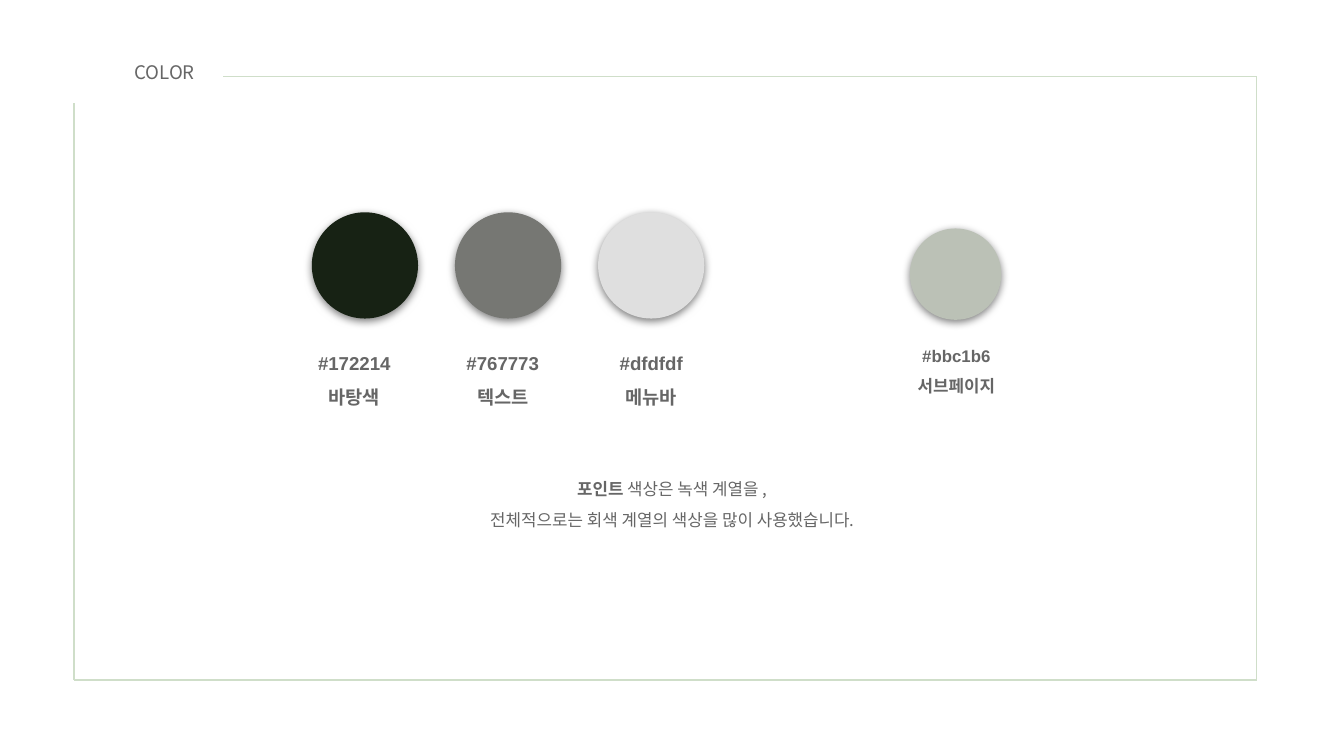
from dataclasses import dataclass

from lxml.etree import SubElement
from pptx import Presentation
from pptx.dml.color import RGBColor
from pptx.enum.shapes import MSO_CONNECTOR, MSO_SHAPE
from pptx.enum.text import MSO_ANCHOR, MSO_AUTO_SIZE, PP_ALIGN
from pptx.oxml.ns import qn
from pptx.util import Inches, Pt

SANS = "Noto Sans CJK KR"
TEXT_COLOR = "666666"
FRAME_COLOR = "CFDEC9"
SLIDE_WIDTH = 10
LABEL_TOP = 2.58
LABEL_WIDTH = 0.89


@dataclass
class Swatch:
    color: str
    code: str
    use: str
    left: float
    top: float
    diameter: float
    label_left: float
    label_height: float
    size: float


def rgb(color: str) -> RGBColor:
    return RGBColor.from_string(color)


def prepare_frame(frame, anchor=MSO_ANCHOR.TOP) -> None:
    """Set wrapping, equal insets and the vertical anchor."""
    frame.word_wrap = True
    frame.auto_size = MSO_AUTO_SIZE.NONE
    frame.vertical_anchor = anchor
    frame.margin_left = frame.margin_right = Inches(0.1)
    frame.margin_top = frame.margin_bottom = Inches(0.1)


def add_run(paragraph, text: str, size: float, font=SANS, bold=False) -> None:
    """Add one run, without pair kerning, with Korean letters in the sans font."""
    run = paragraph.add_run()
    run.text = text
    run.font.name = font
    run.font.size = Pt(size)
    run.font.bold = bold
    run.font.color.rgb = rgb(TEXT_COLOR)
    run.font._element.set("kern", "0")
    SubElement(run.font._element, qn("a:ea"), typeface=SANS)


def add_centered_box(slide, left: float, top: float, width: float, height: float,
                     lines, size: float, font=SANS, anchor=MSO_ANCHOR.TOP) -> None:
    """Each line is a list of (text, bold) pairs."""
    frame = slide.shapes.add_textbox(
        Inches(left), Inches(top), Inches(width), Inches(height)).text_frame
    prepare_frame(frame, anchor)
    for index, line in enumerate(lines):
        paragraph = frame.add_paragraph() if index else frame.paragraphs[0]
        paragraph.alignment = PP_ALIGN.CENTER
        paragraph.line_spacing = 1.5
        for text, bold in line:
            add_run(paragraph, text, size, font, bold)


def add_soft_shadow(shape) -> None:
    shape.shadow.inherit = False
    effects = shape._element.spPr.find(qn("a:effectLst"))
    shadow = SubElement(effects, qn("a:outerShdw"), blurRad=str(Pt(4.5)),
                        dist=str(Pt(1.5)), dir="5400000", algn="bl", rotWithShape="0")
    black = SubElement(shadow, qn("a:srgbClr"), val="000000")
    SubElement(black, qn("a:alpha"), val="50000")


def add_swatch(slide, swatch: Swatch) -> None:
    circle = slide.shapes.add_shape(
        MSO_SHAPE.OVAL, Inches(swatch.left), Inches(swatch.top),
        Inches(swatch.diameter), Inches(swatch.diameter))
    circle.fill.solid()
    circle.fill.fore_color.rgb = rgb(swatch.color)
    circle.line.fill.background()
    add_soft_shadow(circle)
    add_centered_box(slide, swatch.label_left, LABEL_TOP, LABEL_WIDTH, swatch.label_height,
                     [[(swatch.code, True)], [(swatch.use, True)]],
                     swatch.size, "Arial", MSO_ANCHOR.MIDDLE)


def add_frame_line(slide, x1: float, y1: float, x2: float, y2: float) -> None:
    edge = slide.shapes.add_connector(
        MSO_CONNECTOR.STRAIGHT, Inches(x1), Inches(y1), Inches(x2), Inches(y2))
    edge.line.color.rgb = rgb(FRAME_COLOR)
    edge.line.width = Pt(0.75)
    SubElement(edge._element.spPr, qn("a:effectLst"))


def add_title(slide, text: str) -> None:
    title = slide.shapes.title
    title.left, title.top = Inches(0.9), Inches(0.33)
    title.width, title.height = Inches(0.75), Inches(0.41)
    prepare_frame(title.text_frame, MSO_ANCHOR.MIDDLE)
    heading = title.text_frame.paragraphs[0]
    heading.alignment = PP_ALIGN.LEFT
    add_run(heading, text, 10)


def main() -> None:
    prs = Presentation()
    prs.slide_width = Inches(SLIDE_WIDTH)
    prs.slide_height = Inches(SLIDE_WIDTH * 9 / 16)
    slide = prs.slides.add_slide(prs.slide_layouts[5])
    add_title(slide, "COLOR")

    left, right, top, bottom = 0.55, 9.35, 0.57, 5.06
    add_frame_line(slide, right, top, 1.66, top)
    add_frame_line(slide, left, 0.77, left, bottom)
    add_frame_line(slide, right, top, right, bottom)
    add_frame_line(slide, right, bottom, left, bottom)

    add_centered_box(slide, 3.47, 3.39, 3.06, 0.62, [
        [("포인트", True), (" 색상은 녹색 계열을 ,", False)],
        [("전체적으로는 회색 계열의 색상을 많이 사용했습니다.", False)],
    ], 9)

    main_colors = [("172214", "#172214", "바탕색"),
                   ("767773", "#767773", "텍스트"),
                   ("DFDFDF", "#dfdfdf", "메뉴바")]
    circle_step = (4.45 - 2.32) / 2
    label_step = (4.4 - 2.19) / 2
    swatches = [
        Swatch(color, code, use, 2.32 + circle_step * column, 1.58, 0.79,
               2.19 + label_step * column, 0.41, 10)
        for column, (color, code, use) in enumerate(main_colors)
    ]
    swatches.append(Swatch("BBC1B6", "#bbc1b6", "서브페이지", 6.77, 1.7, 0.68, 6.67, 0.28, 9))
    for swatch in swatches:
        add_swatch(slide, swatch)

    prs.save("out.pptx")


if __name__ == "__main__":
    main()
